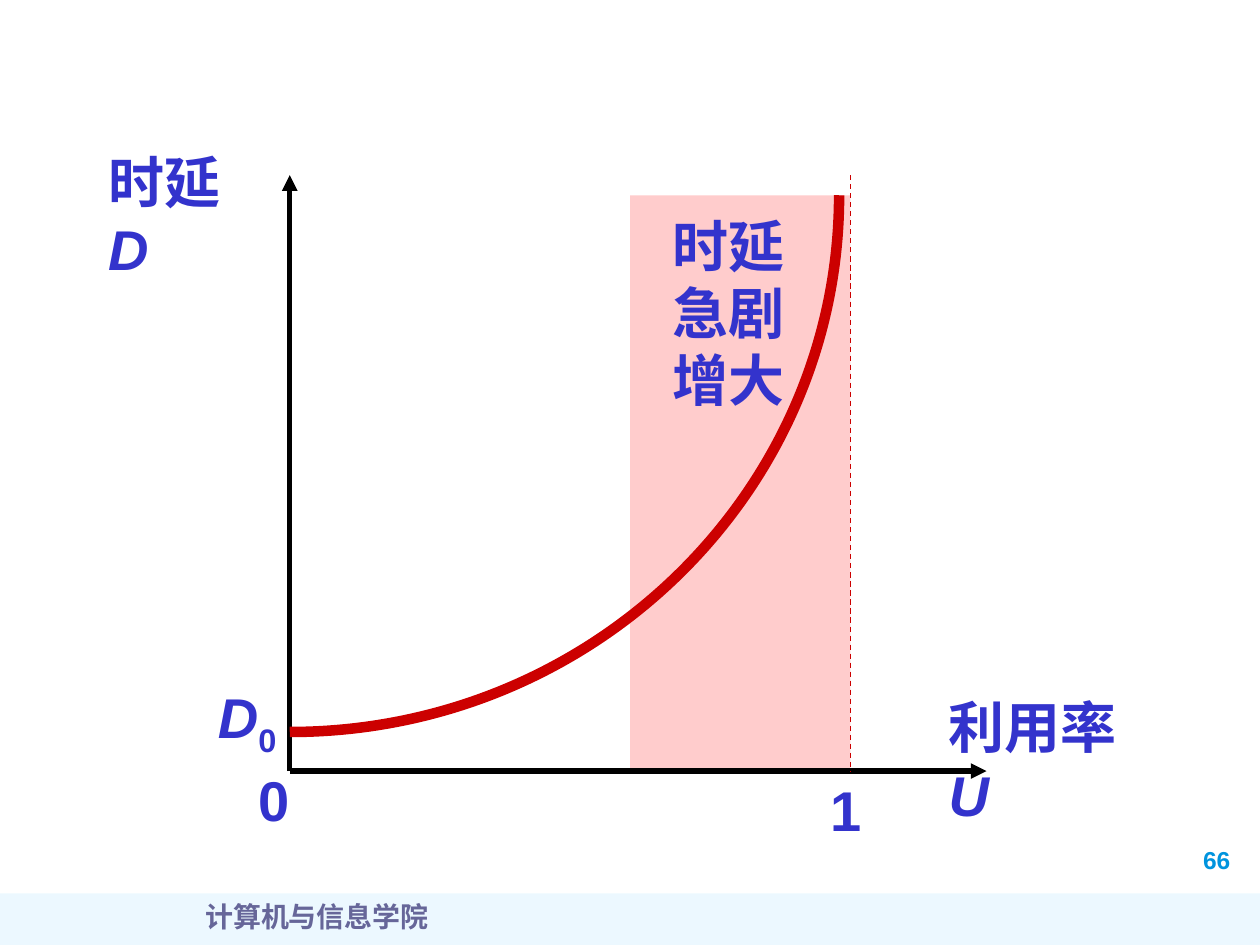
from lxml import etree
from pptx import Presentation
from pptx.dml.color import RGBColor
from pptx.enum.dml import MSO_LINE
from pptx.enum.shapes import MSO_CONNECTOR, MSO_SHAPE
from pptx.enum.text import PP_ALIGN
from pptx.oxml.ns import qn
from pptx.util import Inches, Pt

RECTANGLE = MSO_SHAPE.RECTANGLE
STRAIGHT = MSO_CONNECTOR.STRAIGHT
DASH = MSO_LINE.DASH
LEFT, CENTER = PP_ALIGN.LEFT, PP_ALIGN.CENTER

COLORS = {
    "label": "3333CC",
    "axis": "000000",
    "curve": "CC0000",
    "zone": "FFCCCC",
    "footer_band": "A7E2FF",
    "footer_text": "666699",
    "page_number": "0094DE",
}


def color(name):
    return RGBColor.from_string(COLORS[name])


def add_text(box, paragraphs, color_name="label", font_name="Arial",
             align=LEFT, wrap=False):
    """Each paragraph is a list of runs: (text, size, italic, baseline)."""
    text_box = slide.shapes.add_textbox(*(Inches(value) for value in box))
    frame = text_box.text_frame
    frame.word_wrap = wrap
    for index, runs in enumerate(paragraphs):
        paragraph = frame.paragraphs[0] if index == 0 else frame.add_paragraph()
        paragraph.alignment = align
        for text, size, italic, baseline in runs:
            run = paragraph.add_run()
            run.text = text
            run.font.name = font_name
            run.font.size = Pt(size)
            run.font.bold = True
            run.font.italic = italic
            run.font.color.rgb = color(color_name)
            if baseline:
                run.font._element.set("baseline", str(baseline))


presentation = Presentation()
presentation.slide_width = Inches(10)
presentation.slide_height = Inches(7.5)
slide = presentation.slides.add_slide(presentation.slide_layouts[6])

# Footer band and the zone of steep delay
for name, box, opacity in (
    ("footer_band", (0, 7.09, 10, 0.41), 21),
    ("zone", (5, 1.55, 1.75, 4.58), 100),
):
    shape = slide.shapes.add_shape(RECTANGLE, *(Inches(value) for value in box))
    shape.shadow.inherit = False
    shape.fill.solid()
    shape.fill.fore_color.rgb = color(name)
    shape.line.fill.background()
    if opacity < 100:
        rgb = shape._element.spPr.find(".//" + qn("a:srgbClr"))
        etree.SubElement(rgb, qn("a:alpha"), val=str(opacity * 1000))

add_text((9.45, 6.66, 0.59, 0.33), [[("66", 14, False, 0)]], "page_number")
add_text((0.27, 7.09, 4.49, 0.4), [[("计算机与信息学院", 16, False, 0)]],
         "footer_text", "Times New Roman", CENTER, True)
add_text((0.76, 1.12, 1.4, 1.16),
         [[("时延", 32, False, 0), (" ", 16, False, 0), ("D", 32, True, 0)]],
         wrap=True)

# Axes and the asymptote at full utilisation
ORIGIN_X, ORIGIN_Y, TOP, ASYMPTOTE_X = 2.3, 6.12, 1.39, 6.75
for start, end, name, width, is_axis in (
    ((ORIGIN_X, ORIGIN_Y), (ORIGIN_X, TOP), "axis", 3, True),
    ((ORIGIN_X, ORIGIN_Y), (7.83, ORIGIN_Y), "axis", 3, True),
    ((ASYMPTOTE_X, TOP), (ASYMPTOTE_X, ORIGIN_Y), "curve", 0.75, False),
):
    connector = slide.shapes.add_connector(
        STRAIGHT, *(Inches(value) for value in start + end))
    connector.line.color.rgb = color(name)
    connector.line.width = Pt(width)
    if is_axis:
        etree.SubElement(connector.line._get_or_add_ln(), qn("a:tailEnd"),
                         type="triangle")
    else:
        connector.line.dash_style = DASH
    etree.SubElement(connector._element.spPr, qn("a:effectLst"))

# Delay curve: the three segments become one cubic Bezier
builder = slide.shapes.build_freeform(Inches(ORIGIN_X), Inches(5.81))
builder.add_line_segments(
    [(Inches(x), Inches(y)) for x, y in ((4.71, 5.81), (6.66, 3.9), (6.66, 1.55))],
    close=False)
curve = builder.convert_to_shape()
curve.shadow.inherit = False
curve.fill.background()
curve.line.color.rgb = color("curve")
curve.line.width = Pt(6)
outline = curve._element.spPr.find(".//" + qn("a:path"))
segments = outline.findall(qn("a:lnTo"))
bezier = etree.SubElement(outline, qn("a:cubicBezTo"))
for segment in segments:
    bezier.append(segment[0])
    outline.remove(segment)

add_text((7.43, 5.45, 1.8, 1.16),
         [[("利用率", 32, False, 0), (" ", 16, False, 0), ("U", 32, True, 0)]],
         wrap=True)
add_text((6.49, 6.11, 0.45, 0.63), [[("1", 32, False, 0)]])
add_text((1.95, 6.03, 0.45, 0.63), [[("0", 32, False, 0)]])
add_text((1.63, 5.37, 0.68, 0.63),
         [[("D", 32, True, 0), ("0", 32, False, -25000)]])
add_text((5.24, 1.63, 1.09, 1.7),
         [[(text, 32, False, 0)] for text in ("时延", "急剧", "增大")])

presentation.save("out.pptx")
